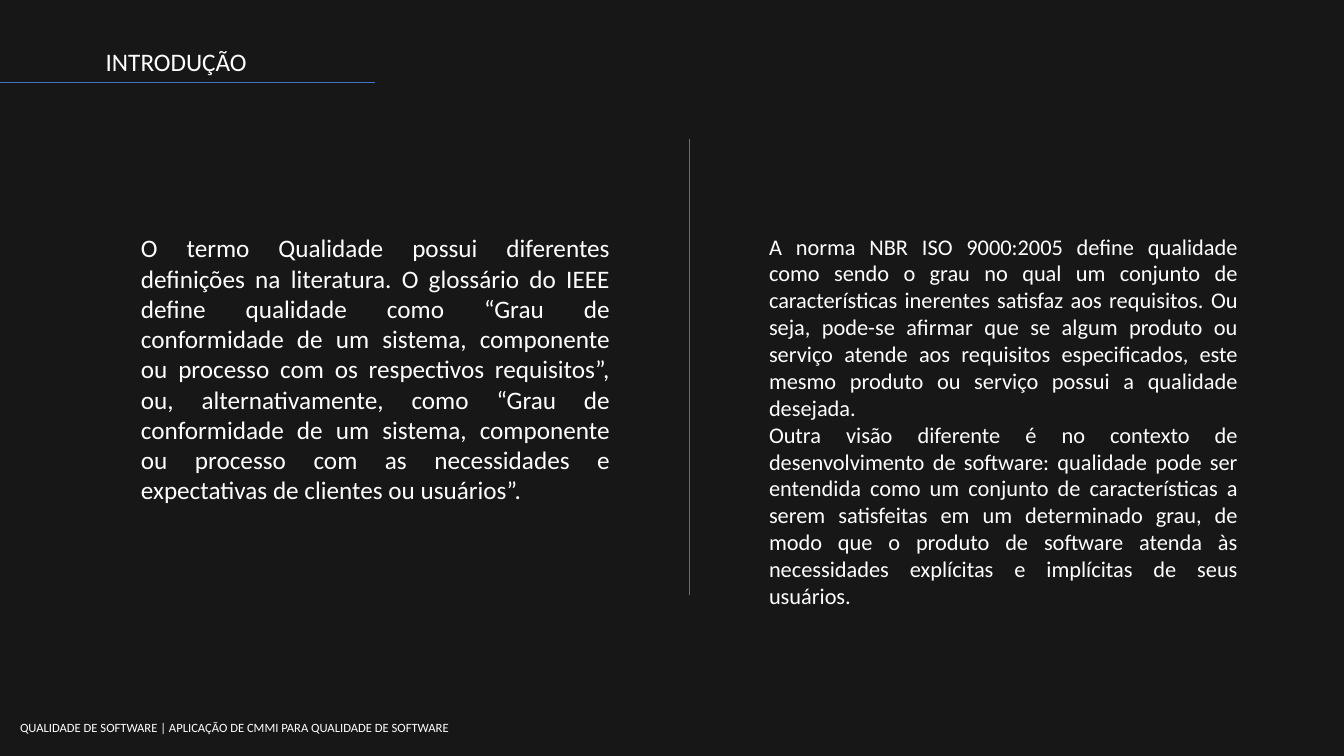
from lxml import etree
from pptx import Presentation
from pptx.dml.color import RGBColor
from pptx.enum.shapes import MSO_CONNECTOR
from pptx.enum.text import MSO_AUTO_SIZE, PP_ALIGN
from pptx.oxml.ns import qn
from pptx.util import Pt

COLORS = {"background": "181717", "line": "4472C4", "text": "FFFFFF"}

presentation = Presentation()
presentation.slide_width = Pt(960)
presentation.slide_height = Pt(540)
slide = presentation.slides.add_slide(presentation.slide_layouts[6])
slide.background.fill.solid()
slide.background.fill.fore_color.rgb = RGBColor.from_string(COLORS["background"])

# Column divider and title underline: start x, start y, end x, end y
LINES = [
    (492.5, 99.4, 492.5, 424.8),
    (0, 59, 267.8, 59),
]
for ends in LINES:
    connector = slide.shapes.add_connector(MSO_CONNECTOR.STRAIGHT, *map(Pt, ends))
    connector.line.color.rgb = RGBColor.from_string(COLORS["line"])
    connector.line.width = Pt(0.5)
    etree.SubElement(connector._element.spPr, qn("a:effectLst"))

# Text blocks: left, top, width, height, then format and paragraphs
COLUMN_TOP, COLUMN_WIDTH = 162.7, 349.2
TEXTS = [
    {
        "box": (68.4, 29.5, 115.9, 28.8),
        "size": 18, "wrap": False, "alignment": PP_ALIGN.LEFT,
        "paragraphs": ["INTRODUÇÃO"],
    },
    {
        "box": (93.6, COLUMN_TOP, COLUMN_WIDTH, 203.8),
        "size": 18, "wrap": True, "alignment": PP_ALIGN.JUSTIFY,
        "paragraphs": [
            "O termo Qualidade possui diferentes definições na literatura. "
            "O glossário do IEEE define qualidade como “Grau de conformidade de um "
            "sistema, componente ou processo com os respectivos requisitos”, ou, "
            "alternativamente, como “Grau de conformidade de um sistema, componente "
            "ou processo com as necessidades e expectativas de clientes ou usuários”.",
        ],
    },
    {
        "box": (542.2, COLUMN_TOP, COLUMN_WIDTH, 278.6),
        "size": 16, "wrap": True, "alignment": PP_ALIGN.JUSTIFY,
        "paragraphs": [
            "A norma NBR ISO 9000:2005 define qualidade como sendo o grau no qual um "
            "conjunto de características inerentes satisfaz aos requisitos. Ou seja, "
            "pode-se afirmar que se algum produto ou serviço atende aos requisitos "
            "especificados, este mesmo produto ou serviço possui a qualidade desejada.",
            "Outra visão diferente é no contexto de desenvolvimento de software: "
            "qualidade pode ser entendida como um conjunto de características a serem "
            "satisfeitas em um determinado grau, de modo que o produto de software "
            "atenda às necessidades explícitas e implícitas de seus usuários.",
        ],
    },
    {
        "box": (7.2, 510.5, 325.4, 18),
        "size": 9, "wrap": False, "alignment": PP_ALIGN.LEFT,
        "paragraphs": ["QUALIDADE DE SOFTWARE | APLICAÇÃO DE CMMI PARA QUALIDADE DE SOFTWARE"],
    },
]
for text in TEXTS:
    shape = slide.shapes.add_textbox(*map(Pt, text["box"]))
    frame = shape.text_frame
    frame.word_wrap = text["wrap"]
    frame.auto_size = MSO_AUTO_SIZE.SHAPE_TO_FIT_TEXT
    frame.text = "\n".join(text["paragraphs"])
    font_format = {"name": "Calibri", "size": Pt(text["size"])}
    for paragraph in frame.paragraphs:
        paragraph.alignment = text["alignment"]
        font = paragraph.runs[0].font
        for attribute, value in font_format.items():
            setattr(font, attribute, value)
        font.color.rgb = RGBColor.from_string(COLORS["text"])

presentation.save("out.pptx")
